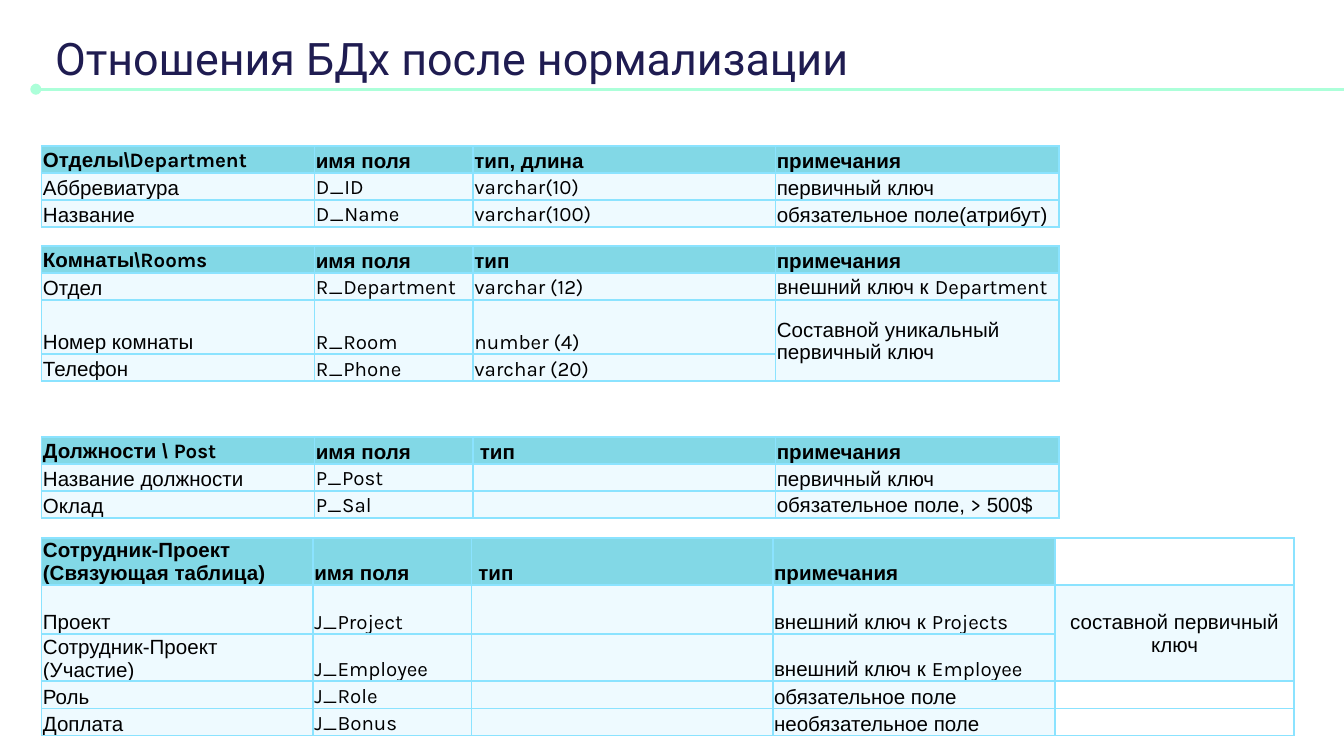
from dataclasses import dataclass

from lxml.etree import SubElement
from pptx import Presentation
from pptx.dml.color import RGBColor
from pptx.enum.shapes import MSO_CONNECTOR as Connector
from pptx.enum.text import MSO_ANCHOR as Anchor, MSO_AUTO_SIZE as AutoSize, PP_ALIGN as Align
from pptx.oxml import parse_xml
from pptx.oxml.ns import nsdecls, qn
from pptx.util import Pt

TITLE_COLOR, RULE_COLOR, TEXT_COLOR = "1F1C51", "ACFFD9", "000000"
BORDER_COLOR, HEADER_FILL, BODY_FILL = "8BE3FF", "82D8E6", "EEFAFF"
LEFT = 22.3
ROW = 14.5
TEXT_SIZE = 11
CELL_FORMAT = {
    "margin_left": Pt(0.7), "margin_right": Pt(0.7),
    "margin_top": Pt(0.7), "margin_bottom": Pt(0),
    "vertical_anchor": Anchor.BOTTOM,
}
TITLE_FORMAT = {"name": "Roboto", "size": Pt(24), "bold": False}
FIELD_COLUMNS = (146.2, 85, 162, 152)
LINK_COLUMNS = (145.4, 85, 161.3, 151.2, 128.2)


@dataclass(frozen=True)
class Relation:
    """One table; "|" in a cell separates runs of different fonts."""
    top: float
    columns: tuple[float, ...]
    heights: tuple[float, ...]
    rows: tuple[tuple[str, ...], ...]
    key_cell: tuple[int, int] | None = None  # spans this row and the next
    key_align: Align = Align.LEFT
    type_indent: float = 0.7


RELATIONS = (
    Relation(78.2, FIELD_COLUMNS, (ROW,) * 3, (
        (r"Отделы\|Department", "имя поля", "тип, длина", "примечания"),
        ("Аббревиатура", "D_ID", "varchar(10)", "первичный ключ"),
        ("Название", "D_Name", "varchar(100)", "обязательное поле(атрибут)"),
    )),
    Relation(131.8, FIELD_COLUMNS, (ROW, ROW, 2 * ROW, ROW), (
        (r"Комнаты\|Rooms", "имя поля", "тип", "примечания"),
        ("Отдел", "R_Department", "varchar (12)", "внешний ключ к |Department"),
        ("Номер комнаты", "R_Room", "number (4)", "Составной уникальный первичный ключ"),
        ("Телефон", "R_Phone", "varchar (20)", ""),
    ), key_cell=(2, 3)),
    Relation(234, FIELD_COLUMNS, (ROW,) * 3, (
        ("Должности \\ |Post", "имя поля", "тип", "примечания"),
        ("Название должности", "P_Post", "", "первичный ключ"),
        ("Оклад", "P_Sal", "", "обязательное поле,| >| 500$"),
    ), type_indent=3.6),
    Relation(288.2, LINK_COLUMNS, (25.2, 26.4, 25.2, ROW, ROW), (
        ("Сотрудник-Проект (Связующая таблица)", "имя поля", "тип", "примечания", ""),
        ("Проект", "J_Project", "", "внешний ключ к |Projects", "составной первичный ключ"),
        ("Сотрудник-Проект (Участие)", "J_Employee", "", "внешний ключ к |Employee", ""),
        ("Роль", "J_Role", "", "обязательное поле", ""),
        ("Доплата", "J_Bonus", "", "необязательное поле", ""),
    ), key_cell=(1, 4), key_align=Align.CENTER, type_indent=3.6),
)


def color(value: str) -> RGBColor:
    return RGBColor.from_string(value)


def apply_format(target, values: dict) -> None:
    for name, value in values.items():
        setattr(target, name, value)


def font_for(text: str) -> str:
    """Latin wording is set in Karla, Cyrillic and figures in Arial."""
    latin = any(char == ">" or (char.isascii() and char.isalpha()) for char in text)
    return "Karla" if latin else "Arial"


def add_borders(cell) -> None:
    properties = cell._tc.get_or_add_tcPr()
    for index, side in enumerate("LRTB"):
        properties.insert(index, parse_xml(
            f'<a:ln{side} {nsdecls("a")} w="{Pt(1)}"><a:solidFill>'
            f'<a:srgbClr val="{BORDER_COLOR}"/></a:solidFill></a:ln{side}>'))


def write_cell(cell, text: str, bold: bool) -> None:
    paragraph = cell.text_frame.paragraphs[0]
    if not text:
        SubElement(paragraph._p, qn("a:endParaRPr"), sz=str(TEXT_SIZE * 100))
        return
    for part in text.split("|"):
        run = paragraph.add_run()
        run.text = part
        apply_format(run.font, {"name": font_for(part), "size": Pt(TEXT_SIZE), "bold": bold})
        run.font.color.rgb = color(TEXT_COLOR)


def add_relation(slide, relation: Relation) -> None:
    frame = slide.shapes.add_table(
        len(relation.rows), len(relation.columns), Pt(LEFT), Pt(relation.top),
        Pt(sum(relation.columns)), Pt(sum(relation.heights)))
    table = frame.table
    apply_format(table, {"first_row": False, "horz_banding": False})
    for column, width in zip(table.columns, relation.columns):
        column.width = Pt(width)
    for row, height in zip(table.rows, relation.heights):
        row.height = Pt(height)

    for row_index, texts in enumerate(relation.rows):
        for column_index, text in enumerate(texts):
            cell = table.cell(row_index, column_index)
            apply_format(cell, CELL_FORMAT)
            write_cell(cell, text, bold=row_index == 0)
            if column_index == 4 and not text:
                cell.fill.background()
            else:
                cell.fill.solid()
                cell.fill.fore_color.rgb = color(BODY_FILL if row_index else HEADER_FILL)
            add_borders(cell)
    table.cell(0, 2).margin_left = Pt(relation.type_indent)

    if relation.key_cell:
        row_index, column_index = relation.key_cell
        key = table.cell(row_index, column_index)
        key.merge(table.cell(row_index + 1, column_index))
        key.vertical_anchor = Anchor.MIDDLE
        key.text_frame.paragraphs[0].alignment = relation.key_align


def add_title_rule(slide) -> None:
    rule = slide.shapes.add_connector(Connector.STRAIGHT, Pt(19.2), Pt(47.8), Pt(727), Pt(47.8))
    rule.line.width = Pt(1.5)
    rule.line.color.rgb = color(RULE_COLOR)
    SubElement(rule.line._get_or_add_ln(), qn("a:headEnd"), type="oval")
    SubElement(rule._element.spPr, qn("a:effectLst"))


def fill_title(slide, text: str) -> None:
    title = slide.shapes.title
    apply_format(title, {"left": Pt(LEFT), "top": Pt(9.4), "width": Pt(479), "height": Pt(42.5)})
    apply_format(title.text_frame, {
        "margin_left": Pt(7.2), "margin_right": Pt(7.2),
        "margin_top": Pt(7.2), "margin_bottom": Pt(7.2),
        "vertical_anchor": Anchor.MIDDLE, "auto_size": AutoSize.NONE, "word_wrap": True,
    })
    paragraph = title.text_frame.paragraphs[0]
    paragraph.alignment = Align.LEFT
    run = paragraph.add_run()
    run.text = text
    apply_format(run.font, TITLE_FORMAT)
    run.font.color.rgb = color(TITLE_COLOR)


def main() -> None:
    presentation = Presentation()
    apply_format(presentation, {"slide_width": Pt(720), "slide_height": Pt(405)})
    slide = presentation.slides.add_slide(presentation.slide_layouts[5])
    add_title_rule(slide)
    fill_title(slide, "Отношения БДх после нормализации")
    for relation in RELATIONS:
        add_relation(slide, relation)
    presentation.save("out.pptx")


if __name__ == "__main__":
    main()
